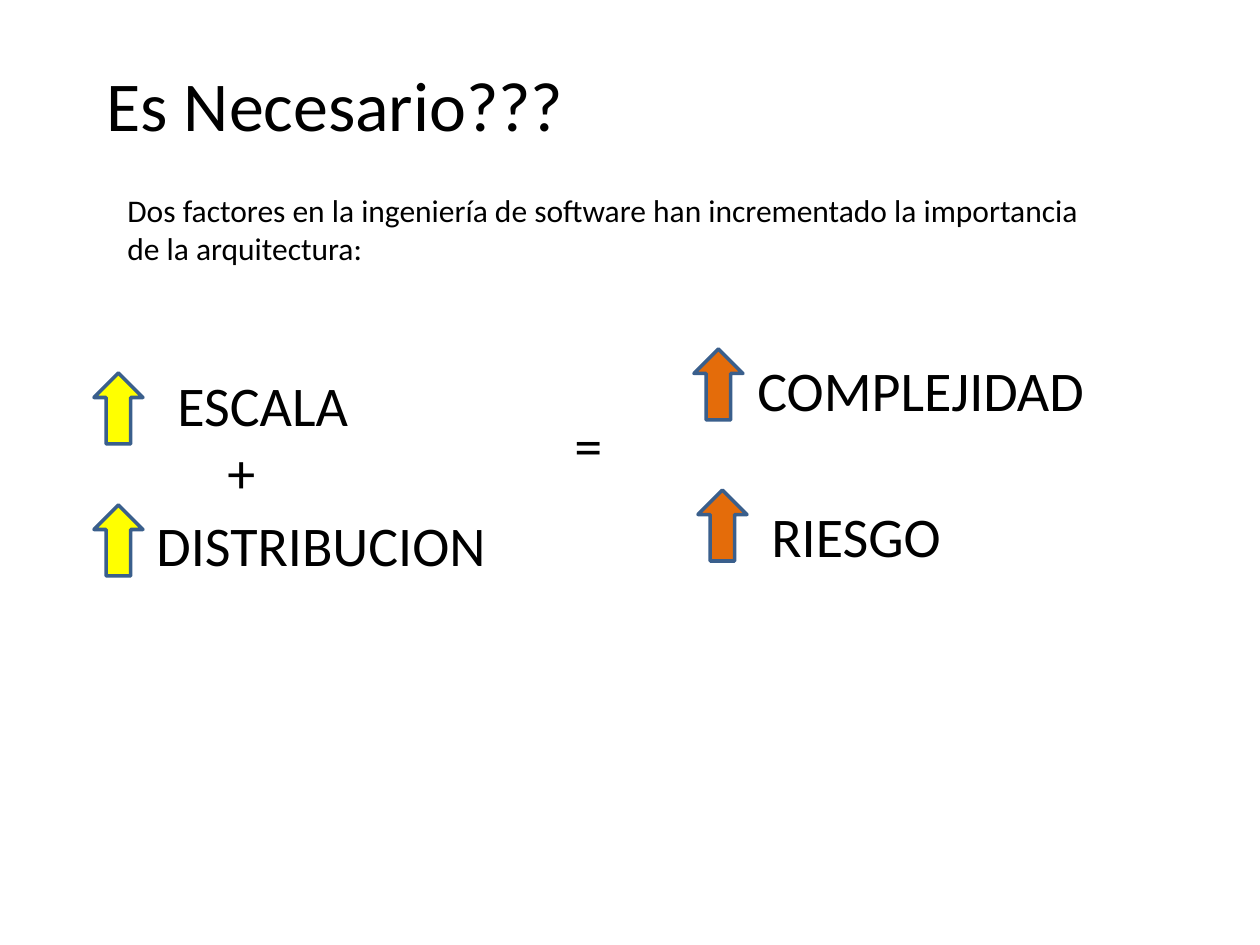
"""Builds the slide on why software architecture is necessary."""
from dataclasses import dataclass

from pptx import Presentation
from pptx.dml.color import RGBColor
from pptx.enum.shapes import MSO_SHAPE
from pptx.enum.text import MSO_ANCHOR, MSO_AUTO_SIZE, PP_ALIGN
from pptx.util import Pt

UP_ARROW = MSO_SHAPE.UP_ARROW
TOP = MSO_ANCHOR.TOP
LEFT = PP_ALIGN.LEFT
FIT_SHAPE = MSO_AUTO_SIZE.SHAPE_TO_FIT_TEXT

EMU_PER_PX = 914400 / 126
TITLE_ONLY = 5
TERM_HEIGHT = 81
ARROW_SIZE = (49, 71)


@dataclass(frozen=True)
class Theme:
    """Holds the font, colours and sizes of the slide."""
    font: str = "Calibri"
    ink: str = "000000"
    cause: str = "FFFF00"
    effect: str = "E46C0A"
    outline: str = "3A5F8C"
    outline_pt: int = 2
    title_pt: int = 40
    intro_pt: int = 18
    term_pt: int = 32


THEME = Theme()

TERMS = [
    ("ESCALA", 165, 364, 212, True),
    ("+", 215, 431, 54, False),
    ("DISTRIBUCION", 144, 504, 359, False),
    ("=", 562, 404, 54, False),
    ("COMPLEJIDAD", 745, 349, 372, True),
    ("RIESGO", 759, 495, 372, True),
]

ARROWS = [
    (94, 373, THEME.cause),
    (94, 505, THEME.cause),
    (694, 349, THEME.effect),
    (698, 490, THEME.effect),
]


def px(length):
    """Turns pixels into EMU."""
    return round(length * EMU_PER_PX)


def write(frame, text, size, wrap):
    """Writes one left-aligned run into a text frame that fits its text."""
    frame.word_wrap = wrap
    frame.auto_size = FIT_SHAPE
    frame.vertical_anchor = TOP
    paragraph = frame.paragraphs[0]
    paragraph.alignment = LEFT
    run = paragraph.add_run()
    run.text = text
    run.font.name = THEME.font
    run.font.size = Pt(size)
    run.font.color.rgb = RGBColor.from_string(THEME.ink)


def set_title(slide, text, left, top, width, height):
    """Moves the title placeholder and fills it."""
    title = slide.shapes.title
    title.left, title.top = px(left), px(top)
    title.width, title.height = px(width), px(height)
    write(title.text_frame, text, THEME.title_pt, False)


def add_label(slide, text, left, top, width, height, size, wrap):
    """Adds a text box."""
    label = slide.shapes.add_textbox(px(left), px(top), px(width), px(height))
    write(label.text_frame, text, size, wrap)


def add_up_arrow(slide, left, top, color):
    """Adds an arrow that marks an increase."""
    width, height = ARROW_SIZE
    arrow = slide.shapes.add_shape(UP_ARROW, px(left), px(top), px(width), px(height))
    arrow.shadow.inherit = False
    arrow.fill.solid()
    arrow.fill.fore_color.rgb = RGBColor.from_string(color)
    arrow.line.color.rgb = RGBColor.from_string(THEME.outline)
    arrow.line.width = Pt(THEME.outline_pt)


def main():
    """Builds and saves the slide."""
    deck = Presentation()
    deck.slide_width, deck.slide_height = px(1260), px(945)
    slide = deck.slides.add_slide(deck.slide_layouts[TITLE_ONLY])
    set_title(slide, "Es Necesario???", 94, 55, 486, 97)
    add_label(
        slide,
        "Dos factores en la ingeniería de software han incrementado "
        "la importancia de la arquitectura:",
        115, 185, 1002, 89, THEME.intro_pt, True,
    )
    for term, left, top, width, wrap in TERMS:
        add_label(slide, term, left, top, width, TERM_HEIGHT, THEME.term_pt, wrap)
    for left, top, color in ARROWS:
        add_up_arrow(slide, left, top, color)
    deck.save("out.pptx")


if __name__ == "__main__":
    main()
